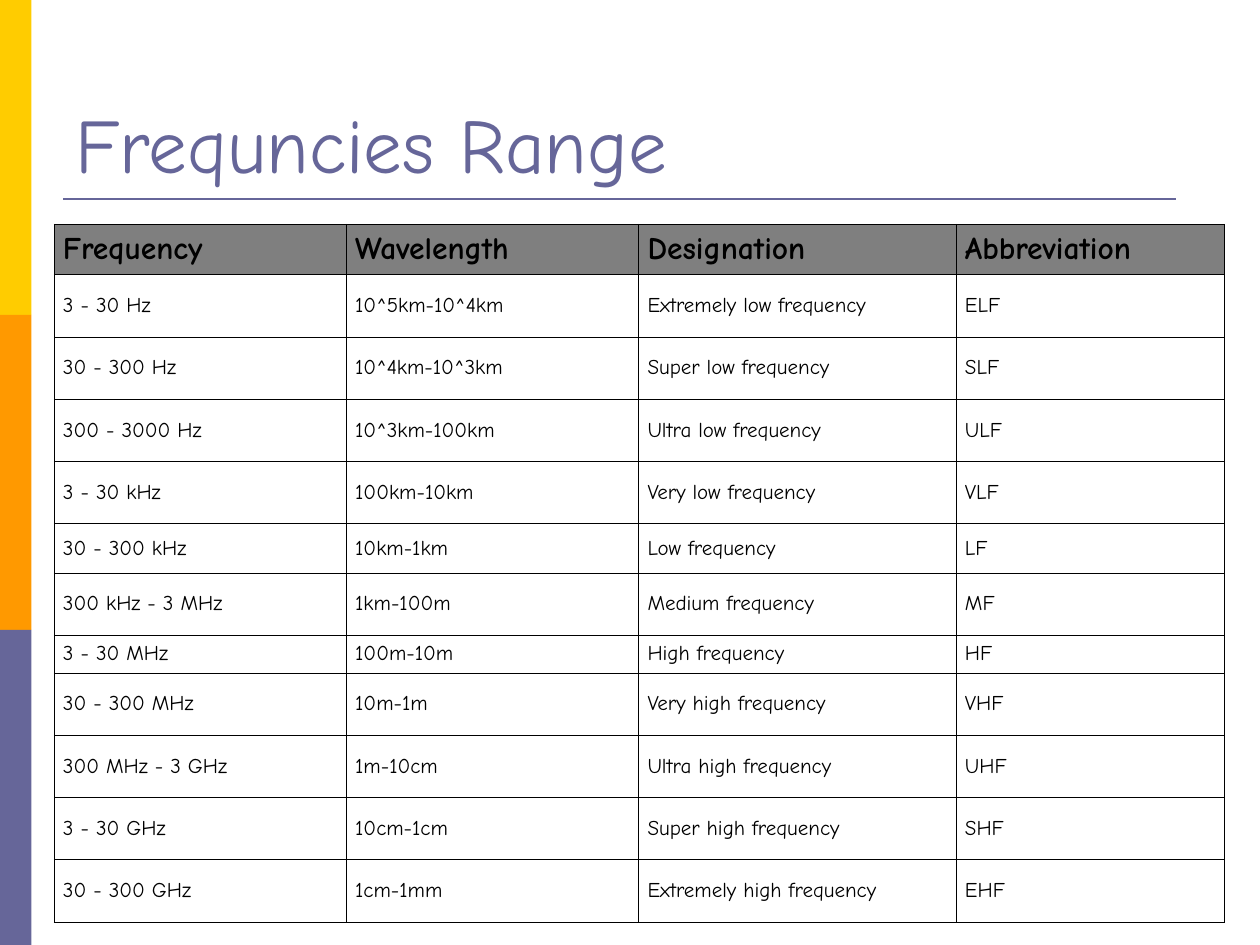
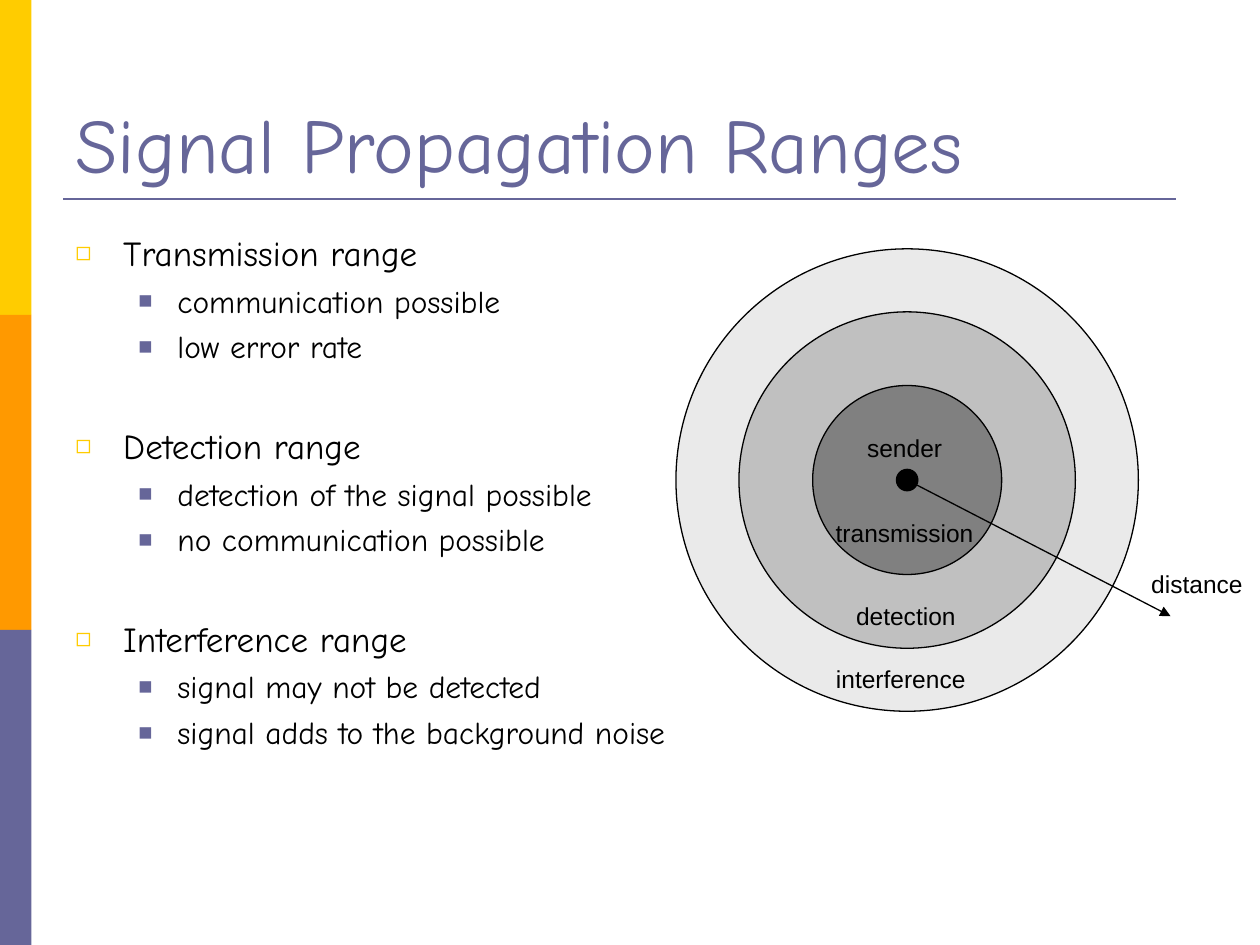
import pptx
import pptx.dml.color
import pptx.enum.shapes
import pptx.enum.text
import pptx.oxml.ns
import pptx.util
from lxml import etree

Inches = pptx.util.Inches
Pt = pptx.util.Pt
Shape = pptx.enum.shapes.MSO_SHAPE
Anchor = pptx.enum.text.MSO_ANCHOR
Align = pptx.enum.text.PP_ALIGN
qn = pptx.oxml.ns.qn

COLORS = {
    "yellow": "FFCC00",
    "orange": "FF9900",
    "violet": "666699",
    "black": "000000",
    "header": "7F7F7F",
    "interference": "EAEAEA",
    "detection": "C0C0C0",
    "transmission": "808080",
}
HAND_FONT = "Comic Neue"
LABEL_FONT = "Arial"

BANDS = ["yellow", "orange", "violet"]
TITLE_BOX = (0.5, 0.3, 9, 1.25)

FREQUENCY_ROWS = [
    ("Frequency", "Wavelength", "Designation", "Abbreviation"),
    ("3 - 30 Hz", "10^5km-10^4km", "Extremely low frequency", "ELF"),
    ("30 - 300 Hz", "10^4km-10^3km", "Super low frequency", "SLF"),
    ("300 - 3000 Hz", "10^3km-100km", "Ultra low frequency", "ULF"),
    ("3 - 30 kHz", "100km-10km", "Very low frequency", "VLF"),
    ("30 - 300 kHz", "10km-1km", "Low frequency", "LF"),
    ("300 kHz - 3 MHz", "1km-100m", "Medium frequency", "MF"),
    ("3 - 30 MHz", "100m-10m", "High frequency", "HF"),
    ("30 - 300 MHz", "10m-1m", "Very high frequency", "VHF"),
    ("300 MHz - 3 GHz", "1m-10cm", "Ultra high frequency", "UHF"),
    ("3 - 30 GHz", "10cm-1cm", "Super high frequency", "SHF"),
    ("30 - 300 GHz", "1cm-1mm", "Extremely high frequency", "EHF"),
]
COLUMN_WIDTHS = [2.32, 2.32, 2.52, 2.13]
SHORT_ROWS = {0: 0.39, 5: 0.39, 7: 0.3}

RANGES = [
    ("Transmission range", ["communication possible", "low error rate"]),
    ("Detection range", ["detection of the signal possible", "no communication possible"]),
    ("Interference range", ["signal may not be detected", "signal adds to the background noise"]),
]

# Diameter and fill of each circle, from the outside in
CIRCLES = [
    (3.67, "interference"),
    (2.67, "detection"),
    (1.5, "transmission"),
    (0.17, "black"),
]
# Label, then its centre measured from the sender
LABELS = [
    ("sender", -0.02, -0.25),
    ("transmission", -0.02, 0.42),
    ("detection", -0.01, 1.08),
    ("interference", -0.05, 1.58),
    ("distance", 2.3, 0.83),
]


def color(name):
    return pptx.dml.color.RGBColor.from_string(COLORS[name])


def add_span(para, text, size, name="black", font=HAND_FONT, bold=False):
    span = para.add_run()
    span.text = text
    span.font.size = Pt(size)
    span.font.name = font
    span.font.bold = bold
    span.font.color.rgb = color(name)


def add_text_box(page, box, anchor=Anchor.TOP, wrap=True):
    frame = page.shapes.add_textbox(*map(Inches, box)).text_frame
    frame.word_wrap = wrap
    frame.vertical_anchor = anchor
    return frame


def add_filled_shape(page, kind, box, fill, outline=None):
    shape = page.shapes.add_shape(kind, *map(Inches, box))
    shape.shadow.inherit = False
    shape.fill.solid()
    shape.fill.fore_color.rgb = color(fill)
    if outline:
        shape.line.color.rgb = color(outline)
        shape.line.width = Pt(0.75)
    else:
        shape.line.fill.background()


def add_line(page, start, end, name, width):
    line = page.shapes.add_connector(
        pptx.enum.shapes.MSO_CONNECTOR.STRAIGHT, *map(Inches, (*start, *end)))
    line.line.color.rgb = color(name)
    line.line.width = Pt(width)
    etree.SubElement(line._element.spPr, qn("a:effectLst"))
    return line


def add_page(deck, title):
    """Add a blank slide with the side bands, the title and its rule."""
    page = deck.slides.add_slide(deck.slide_layouts[6])
    height = 7.5 / len(BANDS)
    for index, name in enumerate(BANDS):
        add_filled_shape(page, Shape.RECTANGLE, (0, index * height, 0.25, height), name)
    left, top, _, title_height = TITLE_BOX
    rule_top = top + title_height + 0.03
    add_line(page, (left, rule_top), (9.33, rule_top), "violet", 1.5)
    frame = add_text_box(page, TITLE_BOX, Anchor.BOTTOM)
    add_span(frame.paragraphs[0], title, 44, "violet")
    return page


def set_cell_borders(cell):
    properties = cell._tc.get_or_add_tcPr()
    for index, side in enumerate(("lnL", "lnR", "lnT", "lnB")):
        border = etree.Element(qn(f"a:{side}"), w=str(Pt(0.45)))
        fill = etree.SubElement(border, qn("a:solidFill"))
        etree.SubElement(fill, qn("a:srgbClr"), val=COLORS["black"])
        properties.insert(index, border)


def fill_cell(cell, text, is_header):
    cell.vertical_anchor = Anchor.MIDDLE
    cell.margin_left = cell.margin_right = Inches(0.07)
    cell.margin_top = cell.margin_bottom = Inches(0.05)
    if is_header:
        cell.fill.solid()
        cell.fill.fore_color.rgb = color("header")
    else:
        cell.fill.background()
    set_cell_borders(cell)
    add_span(cell.text_frame.paragraphs[0], text, 18 if is_header else 12, bold=is_header)


def add_frequency_table(page, box):
    """Rows that are not short share the rest of the height equally."""
    table = page.shapes.add_table(
        len(FREQUENCY_ROWS), len(COLUMN_WIDTHS), *map(Inches, box)).table
    table.first_row = table.horz_banding = False
    for column, width in zip(table.columns, COLUMN_WIDTHS):
        column.width = Inches(width)
    tall = (box[3] - sum(SHORT_ROWS.values())) / (len(FREQUENCY_ROWS) - len(SHORT_ROWS))
    for index, texts in enumerate(FREQUENCY_ROWS):
        table.rows[index].height = Inches(SHORT_ROWS.get(index, tall))
        for column, text in enumerate(texts):
            fill_cell(table.cell(index, column), text, index == 0)


def set_bullet(para, symbol, name, margin, hanging):
    properties = para._p.get_or_add_pPr()
    properties.set("marL", str(Inches(margin)))
    properties.set("indent", str(-Inches(hanging)))
    bullet_color = etree.SubElement(properties, qn("a:buClr"))
    etree.SubElement(bullet_color, qn("a:srgbClr"), val=COLORS[name])
    etree.SubElement(properties, qn("a:buSzPct"), val="75000")
    etree.SubElement(properties, qn("a:buFont"), typeface=LABEL_FONT)
    etree.SubElement(properties, qn("a:buChar"), char=symbol)


def add_range_list(page, box):
    frame = add_text_box(page, box)
    for index, (heading, details) in enumerate(RANGES):
        para = frame.add_paragraph() if index else frame.paragraphs[0]
        set_bullet(para, "◻", "yellow", 0.38, 0.38)
        if index:
            para.space_before = Pt(34)
        add_span(para, heading, 20)
        for detail in details:
            para = frame.add_paragraph()
            para.level = 1
            set_bullet(para, "■", "violet", 0.81, 0.31)
            para.space_before = Pt(4.5)
            add_span(para, detail, 18)


def add_range_diagram(page, center):
    """Draw the circles, the distance arrow and the labels around the sender."""
    x, y = center
    for diameter, name in CIRCLES:
        box = (x - diameter / 2, y - diameter / 2, diameter, diameter)
        add_filled_shape(page, Shape.OVAL, box, name, "black")
    arrow = add_line(page, center, (x + 2.09, y + 1.08), "black", 0.75)
    etree.SubElement(arrow.line._get_or_add_ln(), qn("a:tailEnd"), type="triangle")
    width, height = 1.3, 0.34
    for text, right, down in LABELS:
        box = (x + right - width / 2, y + down - height / 2, width, height)
        para = add_text_box(page, box, wrap=False).paragraphs[0]
        para.alignment = Align.CENTER
        add_span(para, text, 14, font=LABEL_FONT)


def main():
    deck = pptx.Presentation()
    deck.slide_width = Inches(10)
    deck.slide_height = Inches(7.5)

    page = add_page(deck, "Frequncies Range")
    add_frequency_table(page, (0.43, 1.78, sum(COLUMN_WIDTHS), 5.53))

    page = add_page(deck, "Signal Propagation Ranges")
    add_range_diagram(page, (7.2, 3.81))
    add_range_list(page, (0.5, 1.79, 9, 4.95))

    deck.save("out.pptx")


if __name__ == "__main__":
    main()
